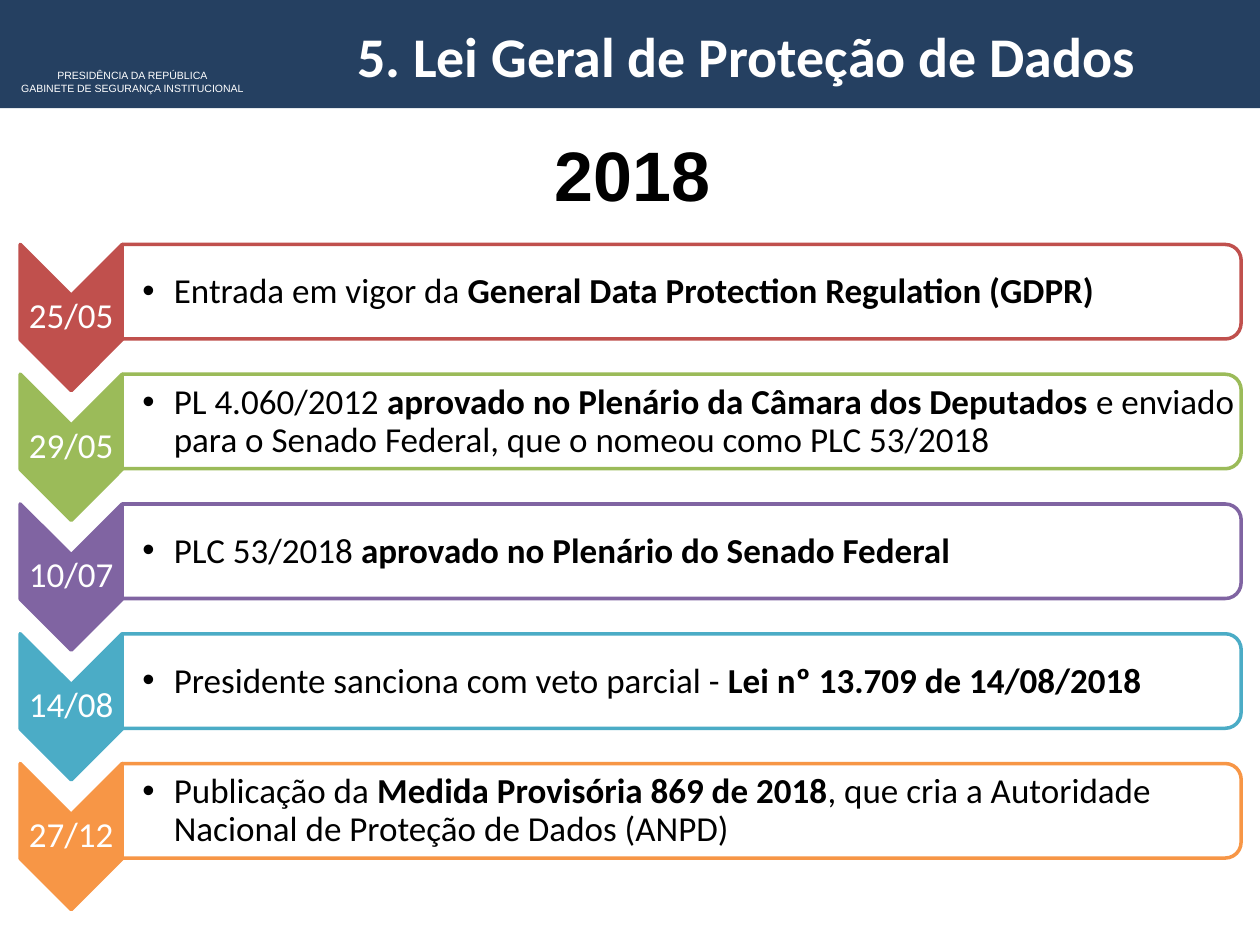
from lxml import etree
from pptx import Presentation
from pptx.dml.color import RGBColor
from pptx.enum import shapes, text
from pptx.oxml import ns
from pptx.util import Inches, Pt

COLOURS = {
    "band": "254061", "white": "FFFFFF", "black": "000000",
    "red": "C0504D", "green": "9BBB59", "purple": "8064A2",
    "blue": "4BACC6", "orange": "F79646",
}

# Date, colour, and text runs as (wording, bold)
EVENTS = [
    ("25/05", "red", [("Entrada em vigor da ", False),
                      ("General Data Protection Regulation (GDPR)", True)]),
    ("29/05", "green", [("PL 4.060/2012 ", False),
                        ("aprovado no Plenário da Câmara dos Deputados ", True),
                        ("e enviado para o Senado Federal, que o nomeou como PLC 53/2018", False)]),
    ("10/07", "purple", [("PLC 53/2018 ", False),
                         ("aprovado no Plenário do Senado Federal", True)]),
    ("14/08", "blue", [("Presidente sanciona com veto parcial - ", False),
                       ("Lei nº 13.709 de 14/08/2018", True)]),
    ("27/12", "orange", [("Publicação da ", False),
                         ("Medida Provisória 869 de 2018", True),
                         (", que cria a Autoridade Nacional de Proteção de Dados (ANPD)", False)]),
]
FIRST_TOP = 1.92
ROW_STEP = 1.03


def colour(name):
    return RGBColor.from_string(COLOURS[name])


def style_font(font, name, size, colour_name, bold=None):
    font.name, font.size, font.bold = name, Pt(size), bold
    font.color.rgb = colour(colour_name)


def add_filled_shape(parent, kind, box, fill, line=None):
    shape = parent.add_shape(kind, *map(Inches, box))
    shape.shadow.inherit = False
    shape.fill.solid()
    shape.fill.fore_color.rgb = colour(fill)
    if line:
        shape.line.color.rgb = colour(line)
        shape.line.width = Pt(2)
    else:
        shape.line.fill.background()
    return shape


def add_turned_shape(parent, kind, box, fill, line):
    """Add a shape turned by 90 degrees; box is the area it covers on the slide."""
    left, top, width, height = box
    shift = (width - height) / 2
    shape = add_filled_shape(parent, kind, (left + shift, top - shift, height, width), fill, line)
    shape.rotation = 90
    return shape


def add_text_box(parent, box, anchor, margins=None):
    frame = parent.add_textbox(*map(Inches, box)).text_frame
    frame.word_wrap = True
    frame.vertical_anchor = anchor
    if margins:
        (frame.margin_left, frame.margin_top,
         frame.margin_right, frame.margin_bottom) = map(Inches, margins)
    return frame


def add_centred_lines(frame, lines, font_name, size, colour_name, bold=None):
    frame.text = "\n".join(lines)
    for paragraph in frame.paragraphs:
        paragraph.alignment = text.PP_ALIGN.CENTER
        style_font(paragraph.font, font_name, size, colour_name, bold)


def add_bullet(paragraph):
    properties = paragraph._p.get_or_add_pPr()
    properties.set("marL", str(Inches(0.25)))
    properties.set("indent", str(-Inches(0.25)))
    etree.SubElement(properties, ns.qn("a:buFont"), typeface="Arial")
    etree.SubElement(properties, ns.qn("a:buChar"), char="•")


def add_event(parent, top, date, accent, runs):
    # Date chevron
    add_turned_shape(parent, shapes.MSO_SHAPE.CHEVRON, (0.16, top + 0.02, 0.81, 1.16), accent, accent)
    label = add_text_box(parent, (0.16, top + 0.42, 0.81, 0.35), text.MSO_ANCHOR.MIDDLE, [0.01] * 4)
    add_centred_lines(label, [date], "Calibri", 20, "white")
    label.paragraphs[0].line_spacing = 0.9

    # Description panel
    panel = add_turned_shape(parent, shapes.MSO_SHAPE.ROUND_2_SAME_RECTANGLE,
                             (0.97, top + 0.02, 8.88, 0.75), "white", accent)
    fill_colour = panel._element.spPr.find(ns.qn("a:solidFill"))[0]
    etree.SubElement(fill_colour, ns.qn("a:alpha"), val="90000")
    frame = add_text_box(parent, (0.97, top + 0.06, 8.84, 0.68), text.MSO_ANCHOR.MIDDLE,
                         (0.16, 0.01, 0.01, 0.01))
    paragraph = frame.paragraphs[0]
    add_bullet(paragraph)
    paragraph.line_spacing = 0.9
    style_font(paragraph.font, "Calibri", 20, "black")
    for wording, bold in runs:
        run = paragraph.add_run()
        run.text = wording
        run.font.bold = bold


def add_header(slide):
    add_filled_shape(slide.shapes, shapes.MSO_SHAPE.RECTANGLE, (0, 0, 10, 0.86), "band")
    caption = add_text_box(slide.shapes, (-0.14, 0.5, 2.38, 0.3), text.MSO_ANCHOR.TOP)
    add_centred_lines(caption, ["PRESIDÊNCIA DA REPÚBLICA", "GABINETE DE SEGURANÇA INSTITUCIONAL"],
                      "Arial", 6, "white")

    title = slide.shapes.title
    title.left, title.top, title.width, title.height = map(Inches, (1.77, 0.12, 8.31, 0.64))
    title.text_frame.vertical_anchor = text.MSO_ANCHOR.MIDDLE
    add_centred_lines(title.text_frame, ["5. Lei Geral de Proteção de Dados"],
                      "Calibri", 32, "white", True)
    # Bring the title in front of the band
    slide.shapes._spTree.append(title._element)


def main():
    presentation = Presentation()
    presentation.slide_width, presentation.slide_height = Inches(10), Inches(7.5)
    slide = presentation.slides.add_slide(presentation.slide_layouts[5])

    add_header(slide)

    # Year
    year = add_text_box(slide.shapes, (0.71, 0.68, 8.62, 1.08), text.MSO_ANCHOR.BOTTOM)
    add_centred_lines(year, ["2018"], "Arial", 40, "black", True)

    # Timeline
    timeline = slide.shapes.add_group_shape()
    for row, event in enumerate(EVENTS):
        add_event(timeline.shapes, FIRST_TOP + row * ROW_STEP, *event)

    presentation.save("out.pptx")


if __name__ == "__main__":
    main()
